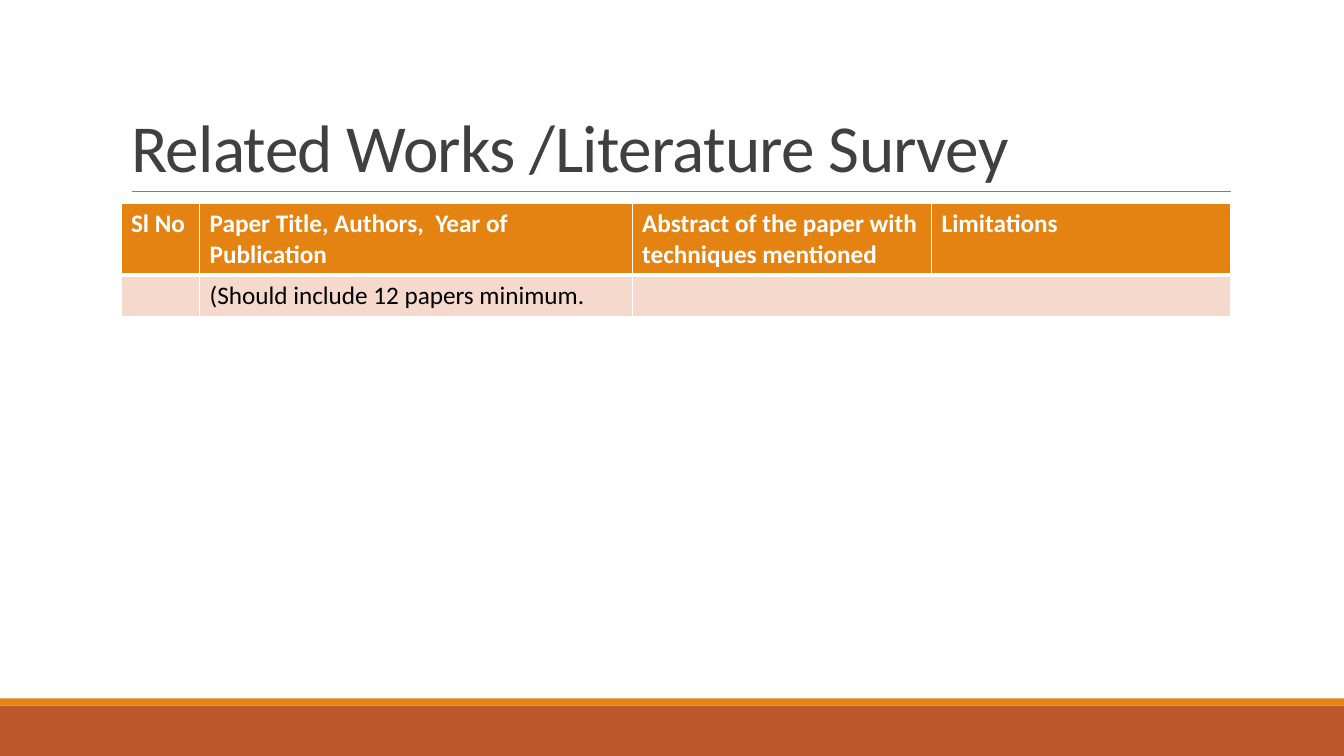
import pptx
import pptx.util
import pptx.dml.color
import pptx.enum.shapes
import pptx.enum.text
import pptx.oxml
import pptx.oxml.ns
from lxml import etree

Inches, Pt = pptx.util.Inches, pptx.util.Pt
COLORS = {"rust": "BD582C", "orange": "E48312", "rule": "808080", "title": "404040",
          "white": "FFFFFF", "black": "000000", "blush": "F5D9CC"}
TITLE = "Related Works /Literature Survey"
ROWS = [
    ["Sl No", "Paper Title, Authors,  Year of Publication",
     "Abstract of the paper with techniques mentioned", "Limitations"],
    ["", "(Should include 12 papers minimum.", "", ""],
]
COL_WIDTHS = [0.78, 4.29, 2.97, 2.97]
ROW_HEIGHTS = [0.7, 0.41]
ROW_STYLES = [
    {"fill": "orange", "color": "white", "bold": True, "borders": {"L": 1, "R": 1, "T": 1, "B": 3}},
    {"fill": "blush", "color": "black", "bold": False, "borders": {"L": 1, "R": 1, "T": 3, "B": 1}},
]
BANDS = [("rust", 7, 0.5), ("orange", 6.93, 0.07)]
LEFT, WIDTH = 1.2, 11


def rgb(name):
    return pptx.dml.color.RGBColor.from_string(COLORS[name])


def set_font(font, color, **values):
    for key, value in {"name": "Calibri", **values}.items():
        setattr(font, key, value)
    font.color.rgb = rgb(color)


def set_borders(cell, borders):
    tcPr = cell._tc.get_or_add_tcPr()
    for i, (side, width) in enumerate(borders.items()):
        tcPr.insert(i, pptx.oxml.parse_xml(
            f'<a:ln{side} {pptx.oxml.ns.nsdecls("a")} w="{Pt(width)}"><a:solidFill>'
            f'<a:srgbClr val="{COLORS["white"]}"/></a:solidFill></a:ln{side}>'))


prs = pptx.Presentation()
prs.slide_width, prs.slide_height = Inches(13.33), Inches(7.5)
s = prs.slides.add_slide(prs.slide_layouts[5])

for color, top, height in BANDS:
    sp = s.shapes.add_shape(pptx.enum.shapes.MSO_SHAPE.RECTANGLE, 0, Inches(top),
                            prs.slide_width, Inches(height))
    sp.shadow.inherit = False
    sp.fill.solid()
    sp.fill.fore_color.rgb = rgb(color)
    sp.line.fill.background()

rule = s.shapes.add_connector(pptx.enum.shapes.MSO_CONNECTOR.STRAIGHT,
                              Inches(1.31), Inches(1.9), Inches(12.21), Inches(1.9))
rule.line.color.rgb = rgb("rule")
rule.line.width = Pt(0.5)
etree.SubElement(rule._element.spPr, pptx.oxml.ns.qn("a:effectLst"))

title = s.shapes.title
for key, value in {"left": LEFT, "top": 0.31, "width": WIDTH, "height": 1.59}.items():
    setattr(title, key, Inches(value))
tf = title.text_frame
for key, value in {"text": TITLE, "word_wrap": True,
                   "auto_size": pptx.enum.text.MSO_AUTO_SIZE.NONE,
                   "vertical_anchor": pptx.enum.text.MSO_ANCHOR.BOTTOM}.items():
    setattr(tf, key, value)
p = tf.paragraphs[0]
p.alignment = pptx.enum.text.PP_ALIGN.LEFT
p.line_spacing = 0.85
r = p.runs[0]
set_font(r.font, "title", size=Pt(48))
r.font._element.set("spc", "-50")

table = s.shapes.add_table(len(ROWS), len(COL_WIDTHS), Inches(LEFT), Inches(2.02),
                           Inches(WIDTH), Inches(sum(ROW_HEIGHTS))).table
for column, width in zip(table.columns, COL_WIDTHS):
    column.width = Inches(width)
for row, height, texts, style in zip(table.rows, ROW_HEIGHTS, ROWS, ROW_STYLES):
    row.height = Inches(height)
    for cell, text in zip(row.cells, texts):
        cell.text = text
        cell.fill.solid()
        cell.fill.fore_color.rgb = rgb(style["fill"])
        set_borders(cell, style["borders"])
        set_font(cell.text_frame.paragraphs[0].font, style["color"],
                 size=Pt(18), bold=style["bold"])
        for r in cell.text_frame.paragraphs[0].runs:
            set_font(r.font, style["color"], size=Pt(18), bold=style["bold"])
table.cell(1, 2).merge(table.cell(1, 3))

prs.save("out.pptx")
